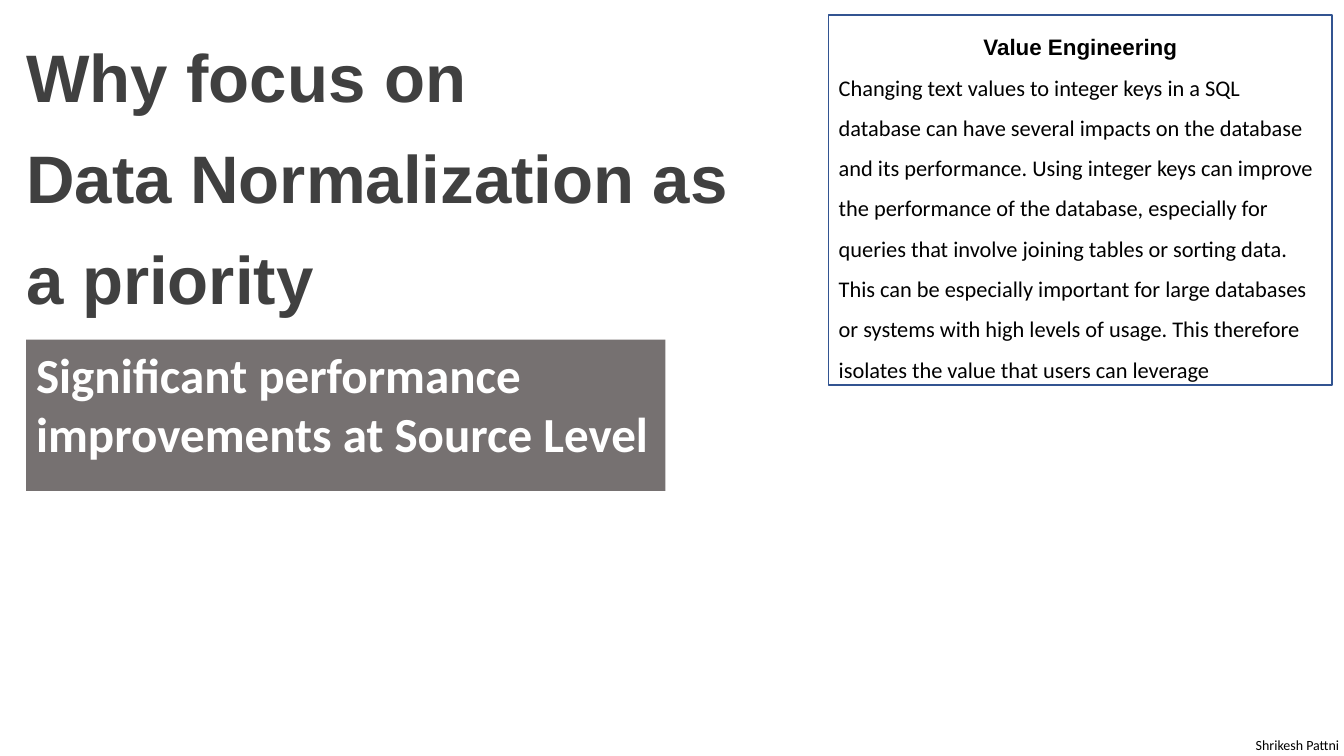
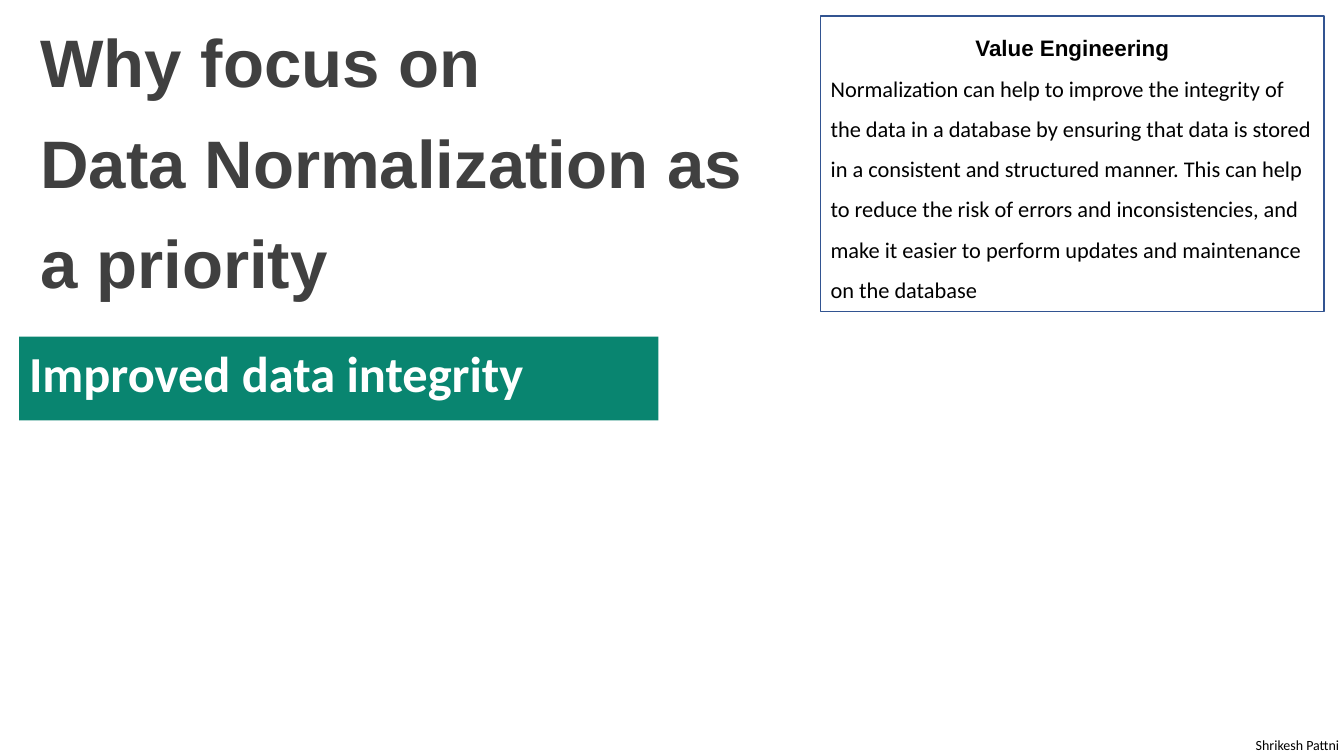
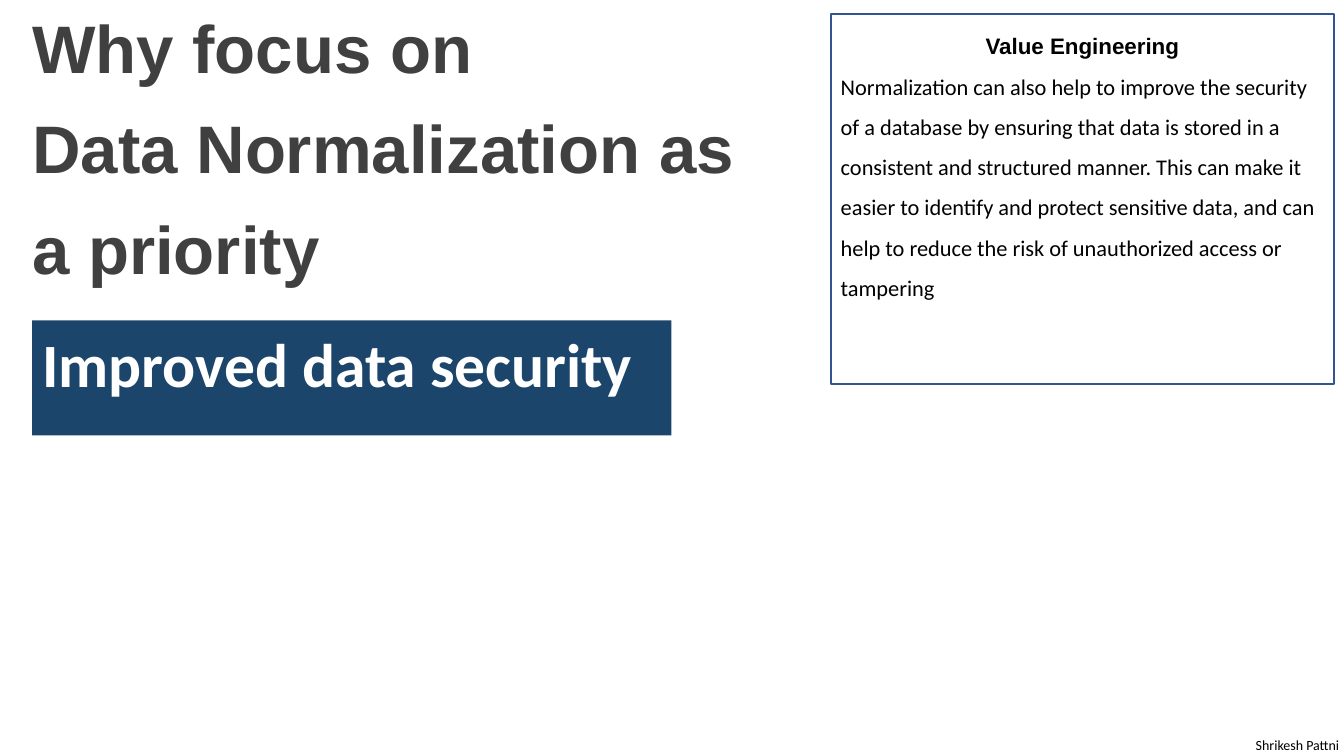
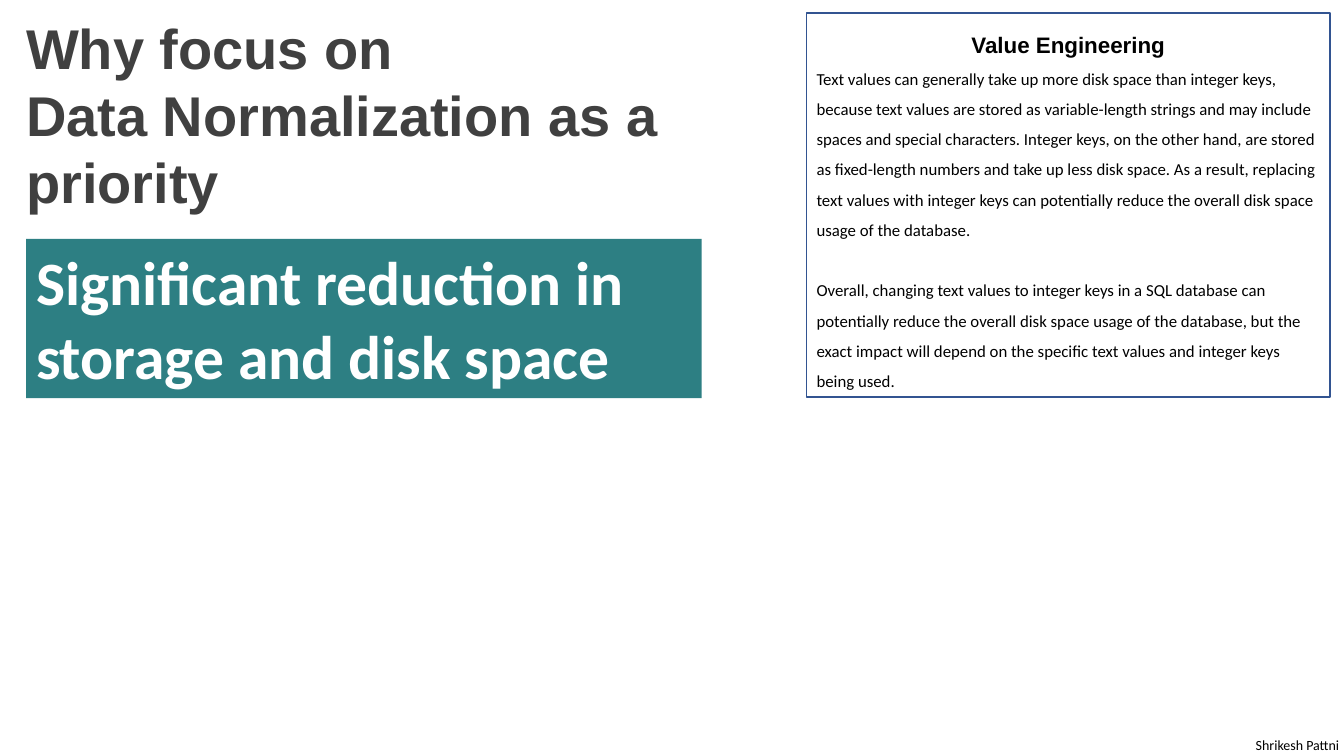
from pptx import Presentation
from pptx.dml.color import RGBColor
from pptx.enum.shapes import MSO_SHAPE
from pptx.enum.text import MSO_ANCHOR, PP_ALIGN
from pptx.util import Inches, Pt

RECT = MSO_SHAPE.RECTANGLE
TOP = MSO_ANCHOR.TOP
LEFT, CENTER, RIGHT = PP_ALIGN.LEFT, PP_ALIGN.CENTER, PP_ALIGN.RIGHT

WHITE = RGBColor(0xFF, 0xFF, 0xFF)
BLACK = RGBColor(0x00, 0x00, 0x00)
TITLE_GRAY = RGBColor(0x40, 0x40, 0x40)
CARD_BLUE = RGBColor(0x32, 0x54, 0x91)
BAND_GRAY = RGBColor(0x76, 0x71, 0x71)
BAND_GREEN = RGBColor(0x09, 0x85, 0x70)
BAND_NAVY = RGBColor(0x1B, 0x45, 0x6B)
BAND_TEAL = RGBColor(0x2D, 0x7F, 0x83)

TITLE_LINES = ["Why focus on", "Data Normalization as a priority"]
CARD_HEADING = "Value Engineering"
AUTHOR = "Shrikesh Pattni"

SLIDES = [
    {
        "title_at": (0.26, 0.15, 7.23, 2.93), "title_size": 48, "title_spacing": Pt(72),
        "band_at": (0.26, 3.37, 6.34, 1.5), "band_size": 35, "band_color": BAND_GRAY,
        "band": "Significant performance improvements at Source Level",
        "card_at": (8.22, 0.15, 4.99, 3.67), "card_size": 16,
        "card": [
            "Changing text values to integer keys in a SQL database can have several "
            "impacts on the database and its performance. Using integer keys can improve "
            "the performance of the database, especially for queries that involve joining "
            "tables or sorting data. This can be especially important for large databases "
            "or systems with high levels of usage. This therefore isolates the value that "
            "users can leverage",
        ],
    },
    {
        "title_at": (0.4, 0, 7.23, 2.93), "title_size": 48, "title_spacing": Pt(72),
        "band_at": (0.19, 3.34, 6.34, 0.83), "band_size": 36, "band_color": BAND_GREEN,
        "band": "Improved data integrity",
        "card_at": (8.14, 0.16, 4.99, 2.93), "card_size": 16,
        "card": [
            "Normalization can help to improve the integrity of the data in a database by "
            "ensuring that data is stored in a consistent and structured manner. This can "
            "help to reduce the risk of errors and inconsistencies, and make it easier to "
            "perform updates and maintenance on the database",
        ],
    },
    {
        "title_at": (0.32, -0.14, 7.23, 2.93), "title_size": 48, "title_spacing": Pt(72),
        "band_at": (0.32, 3.18, 6.34, 1.14), "band_size": 44, "band_color": BAND_NAVY,
        "band": "Improved data security",
        "card_at": (8.24, 0.14, 4.99, 3.67), "card_size": 16,
        "card": [
            "Normalization can also help to improve the security of a database by ensuring "
            "that data is stored in a consistent and structured manner. This can make it "
            "easier to identify and protect sensitive data, and can help to reduce the "
            "risk of unauthorized access or tampering",
        ],
    },
    {
        "title_at": (0.26, 0.13, 7.23, 2.02), "title_size": 40, "title_spacing": 1.0,
        "band_at": (0.26, 2.37, 6.7, 1.58), "band_size": 44, "band_color": BAND_TEAL,
        "band": "Significant reduction in storage and disk space",
        "card_at": (8, 0.13, 5.19, 3.81), "card_size": 12,
        "card": [
            "Text values can generally take up more disk space than integer keys, because "
            "text values are stored as variable-length strings and may include spaces and "
            "special characters. Integer keys, on the other hand, are stored as "
            "fixed-length numbers and take up less disk space. As a result, replacing text "
            "values with integer keys can potentially reduce the overall disk space usage "
            "of the database.",
            "Overall, changing text values to integer keys in a SQL database can "
            "potentially reduce the overall disk space usage of the database, but the "
            "exact impact will depend on the specific text values and integer keys being "
            "used.",
        ],
    },
]


def add_text(tf, text, size, font="Calibri", color=BLACK, bold=False,
             align=LEFT, spacing=1.0, before=0):
    """Add a formatted paragraph, using the frame's empty first one if free."""
    p = tf.paragraphs[0]
    if p.runs:
        p = tf.add_paragraph()
    p.alignment = align
    p.line_spacing = spacing
    if before:
        p.space_before = Pt(before)
    r = p.add_run()
    r.text = text
    r.font.size = Pt(size)
    r.font.name = font
    r.font.bold = bold
    r.font.color.rgb = color


def add_box(slide, at, fill=None, line=None):
    """Add a filled rectangle, or a text box if no fill, and return its text frame."""
    place = [Inches(v) for v in at]
    if fill is None:
        sp = slide.shapes.add_textbox(*place)
    else:
        sp = slide.shapes.add_shape(RECT, *place)
        sp.shadow.inherit = False
        sp.fill.solid()
        sp.fill.fore_color.rgb = fill
        if line is None:
            sp.line.fill.background()
        else:
            sp.line.color.rgb = line
            sp.line.width = Pt(1)
    tf = sp.text_frame
    tf.word_wrap = True
    tf.vertical_anchor = TOP
    return tf


prs = Presentation()
prs.slide_width = Inches(13.33)
prs.slide_height = Inches(7.5)

for content in SLIDES:
    s = prs.slides.add_slide(prs.slide_layouts[6])

    band = add_box(s, content["band_at"], fill=content["band_color"])
    add_text(band, content["band"], content["band_size"], color=WHITE, bold=True)

    title = add_box(s, content["title_at"])
    title.margin_left = title.margin_right = title.margin_top = title.margin_bottom = 0
    for text in TITLE_LINES:
        add_text(title, text, content["title_size"], font="Arial", color=TITLE_GRAY,
                 bold=True, spacing=content["title_spacing"])

    card = add_box(s, content["card_at"], fill=WHITE, line=CARD_BLUE)
    add_text(card, CARD_HEADING, 16, font="Arial", bold=True, align=CENTER, spacing=1.5)
    for i, text in enumerate(content["card"]):
        add_text(card, text, content["card_size"], spacing=1.5, before=21.6 if i else 0)

    footer = add_box(s, (12.02, 7.26, 1.36, 0.27))
    add_text(footer, AUTHOR, 10, align=RIGHT)

prs.save("out.pptx")
